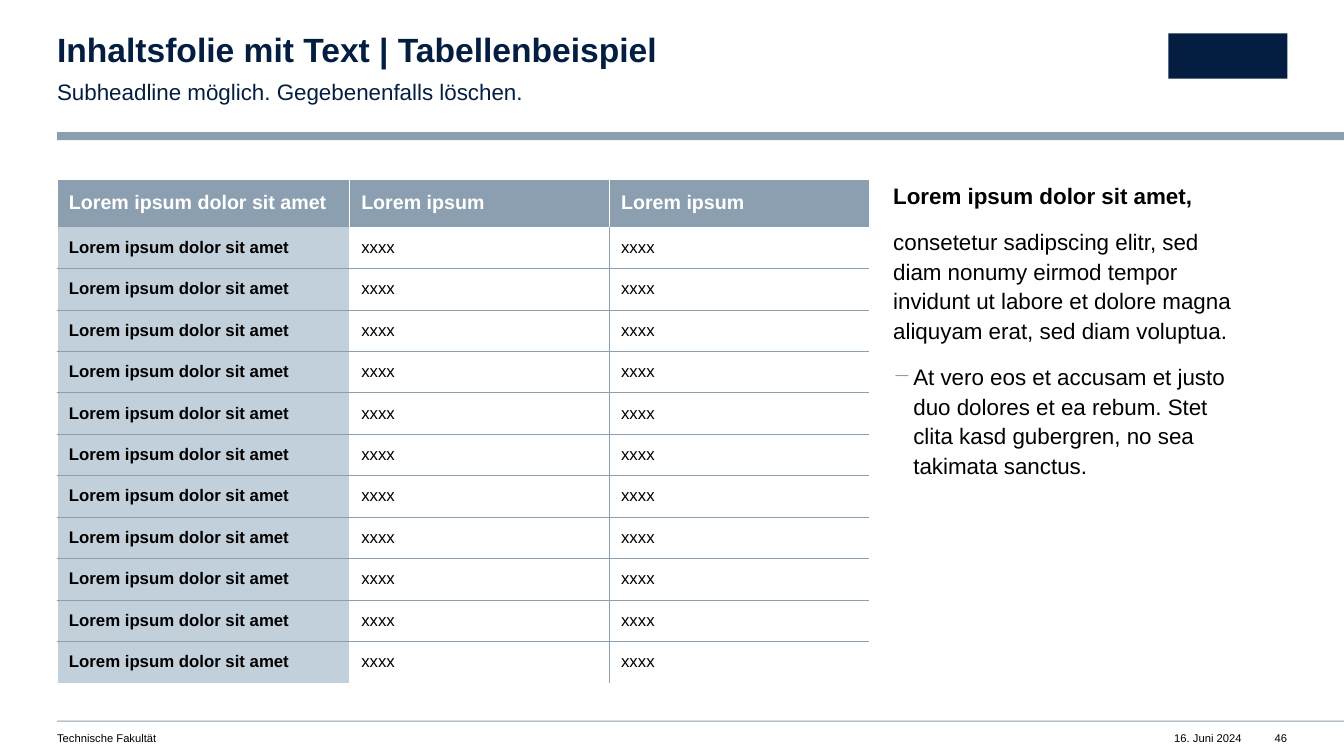
from dataclasses import dataclass

from lxml import etree
from pptx import Presentation
from pptx.dml.color import RGBColor
from pptx.enum.shapes import MSO_SHAPE
from pptx.enum.text import MSO_ANCHOR, PP_ALIGN
from pptx.oxml.ns import qn
from pptx.util import Pt

RECTANGLE = MSO_SHAPE.RECTANGLE
TOP, MIDDLE = MSO_ANCHOR.TOP, MSO_ANCHOR.MIDDLE
LEFT, RIGHT = PP_ALIGN.LEFT, PP_ALIGN.RIGHT

COLORS = {
    "navy": "041E42",
    "steel": "8C9FB1",
    "pale": "C2D0DC",
    "white": "FFFFFF",
    "black": "000000",
}
FONT = "Arial"
MARGIN = 40.8
CONTENT_TOP = 128.2
BULLET_INDENT = 14.4
TITLE_ONLY = 5


@dataclass(frozen=True)
class Box:
    left: float
    top: float
    width: float
    height: float

    def lengths(self) -> tuple:
        return Pt(self.left), Pt(self.top), Pt(self.width), Pt(self.height)


@dataclass(frozen=True)
class Block:
    box: Box
    color: str


@dataclass(frozen=True)
class Line:
    text: str
    size: float
    color: str = "black"
    bold: bool = False
    alignment: PP_ALIGN = LEFT
    spacing: float = 1.0
    after: float = 0
    bullet: str = ""


@dataclass(frozen=True)
class TextBlock:
    box: Box
    lines: tuple
    right_inset: float = 0


@dataclass(frozen=True)
class Border:
    color: str
    width: float


BLOCKS = (
    Block(Box(MARGIN, 94.3, 919.2, 5.8), "steel"),
    Block(Box(MARGIN, 514.8, 919.2, 0.7), "steel"),
    Block(Box(834.5, 23.8, 85, 32.4), "navy"),
)
TITLE = TextBlock(
    Box(MARGIN, 23.8, 539.3, 25.9),
    (Line("Inhaltsfolie mit Text | Tabellenbeispiel", 24, "navy", True, spacing=0.9),),
)
TEXT_BLOCKS = (
    TextBlock(
        Box(MARGIN, 54, 539.3, 19.4),
        (Line("Subheadline möglich. Gegebenenfalls löschen.", 16, "navy", spacing=1.1, after=12),),
        28,
    ),
    TextBlock(
        Box(638, CONTENT_TOP, 281.5, 360),
        (
            Line("Lorem ipsum dolor sit amet,", 16, bold=True, spacing=1.1, after=12),
            Line("consetetur sadipscing elitr, sed diam nonumy eirmod tempor invidunt ut "
                 "labore et dolore magna aliquyam erat, sed diam voluptua.",
                 16, spacing=1.1, after=12),
            Line("At vero eos et accusam et justo duo dolores et ea rebum. Stet clita kasd "
                 "gubergren, no sea takimata sanctus.",
                 16, spacing=1.1, after=12, bullet="−"),
        ),
        28,
    ),
    TextBlock(Box(MARGIN, 522.7, 430.5, 9.4), (Line("Technische Fakultät", 8),)),
    TextBlock(Box(820, 522.7, 67, 9.4), (Line("16. Juni 2024", 8, alignment=RIGHT),)),
    TextBlock(Box(904.3, 522.7, 15.1, 9.4), (Line("46", 8, alignment=RIGHT),)),
)

# Table content and its border rules
BODY_ROWS = 11
TABLE_ROWS = [("Lorem ipsum dolor sit amet", "Lorem ipsum", "Lorem ipsum")]
TABLE_ROWS += [("Lorem ipsum dolor sit amet", "xxxx", "xxxx")] * BODY_ROWS
COLUMN_WIDTHS = (208.8, 185.6, 185.6)
HEADER_HEIGHT, ROW_HEIGHT = 33.8, 29.6
HAIRLINE = Border("steel", 0.25)
THICK, THIN = Border("white", 1), Border("white", 0.5)
HEADER_VERTICALS = (THICK, THIN, THIN, None)
BODY_VERTICALS = (THICK, THICK, HAIRLINE, None)
HORIZONTALS = (THICK, None) + (HAIRLINE,) * (BODY_ROWS - 1) + (None,)


def rgb(name: str) -> RGBColor:
    return RGBColor.from_string(COLORS[name])


def write_line(paragraph, line: Line) -> None:
    paragraph.text = line.text
    paragraph.alignment = line.alignment
    paragraph.line_spacing = line.spacing
    paragraph.space_before = Pt(0)
    paragraph.space_after = Pt(line.after)
    for run in paragraph.runs:
        run.font.name = FONT
        run.font.size = Pt(line.size)
        run.font.bold = line.bold
        run.font.color.rgb = rgb(line.color)
    if line.bullet:
        paragraph.level = 1
        properties = paragraph._p.get_or_add_pPr()
        properties.set("marL", str(Pt(BULLET_INDENT)))
        properties.set("indent", str(-Pt(BULLET_INDENT)))
        bullet_color = etree.SubElement(properties, qn("a:buClr"))
        etree.SubElement(bullet_color, qn("a:srgbClr"), val=COLORS["steel"])
        etree.SubElement(properties, qn("a:buChar"), char=line.bullet)


def fill_text(shape, block: TextBlock) -> None:
    shape.left, shape.top, shape.width, shape.height = block.box.lengths()
    frame = shape.text_frame
    frame.word_wrap = True
    frame.vertical_anchor = TOP
    frame.margin_left = frame.margin_top = frame.margin_bottom = Pt(0)
    frame.margin_right = Pt(block.right_inset)
    frame.text = "\n".join(line.text for line in block.lines)
    for paragraph, line in zip(frame.paragraphs, block.lines):
        write_line(paragraph, line)


def draw_block(slide, block: Block) -> None:
    shape = slide.shapes.add_shape(RECTANGLE, *block.box.lengths())
    shape.shadow.inherit = False
    shape.fill.solid()
    shape.fill.fore_color.rgb = rgb(block.color)
    shape.line.fill.background()


def set_borders(cell, borders: dict) -> None:
    properties = cell._tc.get_or_add_tcPr()
    for index, (side, border) in enumerate(borders.items()):
        edge = etree.Element(qn(f"a:ln{side}"))
        if border:
            edge.set("w", str(Pt(border.width)))
            fill = etree.SubElement(edge, qn("a:solidFill"))
            etree.SubElement(fill, qn("a:srgbClr"), val=COLORS[border.color])
        else:
            etree.SubElement(edge, qn("a:noFill"))
        properties.insert(index, edge)


def format_cell(cell, text: str, row: int, column: int) -> None:
    header = row == 0
    cell.vertical_anchor = MIDDLE
    cell.margin_left = cell.margin_right = Pt(8.5)
    cell.margin_top = cell.margin_bottom = Pt(2.9)
    line = Line(text, 14 if header else 12, "white" if header else "black", header or column == 0)
    write_line(cell.text_frame.paragraphs[0], line)
    if header or column == 0:
        cell.fill.solid()
        cell.fill.fore_color.rgb = rgb("steel" if header else "pale")
    else:
        cell.fill.background()
    verticals = HEADER_VERTICALS if header else BODY_VERTICALS
    set_borders(cell, {"L": verticals[column], "R": verticals[column + 1],
                       "T": HORIZONTALS[row], "B": HORIZONTALS[row + 1]})


def draw_table(slide) -> None:
    box = Box(MARGIN, CONTENT_TOP, sum(COLUMN_WIDTHS), HEADER_HEIGHT + BODY_ROWS * ROW_HEIGHT)
    table = slide.shapes.add_table(len(TABLE_ROWS), len(COLUMN_WIDTHS), *box.lengths()).table
    table.horz_banding = False
    for column, width in zip(table.columns, COLUMN_WIDTHS):
        column.width = Pt(width)
    for row, texts in enumerate(TABLE_ROWS):
        table.rows[row].height = Pt(ROW_HEIGHT if row else HEADER_HEIGHT)
        for column, text in enumerate(texts):
            format_cell(table.cell(row, column), text, row, column)


def main() -> None:
    presentation = Presentation()
    presentation.slide_width, presentation.slide_height = Pt(960), Pt(540)
    slide = presentation.slides.add_slide(presentation.slide_layouts[TITLE_ONLY])
    # Header bar, footer rule and emblem block
    for block in BLOCKS:
        draw_block(slide, block)
    # Title, subheadline, side text and footer
    fill_text(slide.shapes.title, TITLE)
    for text_block in TEXT_BLOCKS:
        fill_text(slide.shapes.add_textbox(*text_block.box.lengths()), text_block)
    draw_table(slide)
    presentation.save("out.pptx")


if __name__ == "__main__":
    main()
